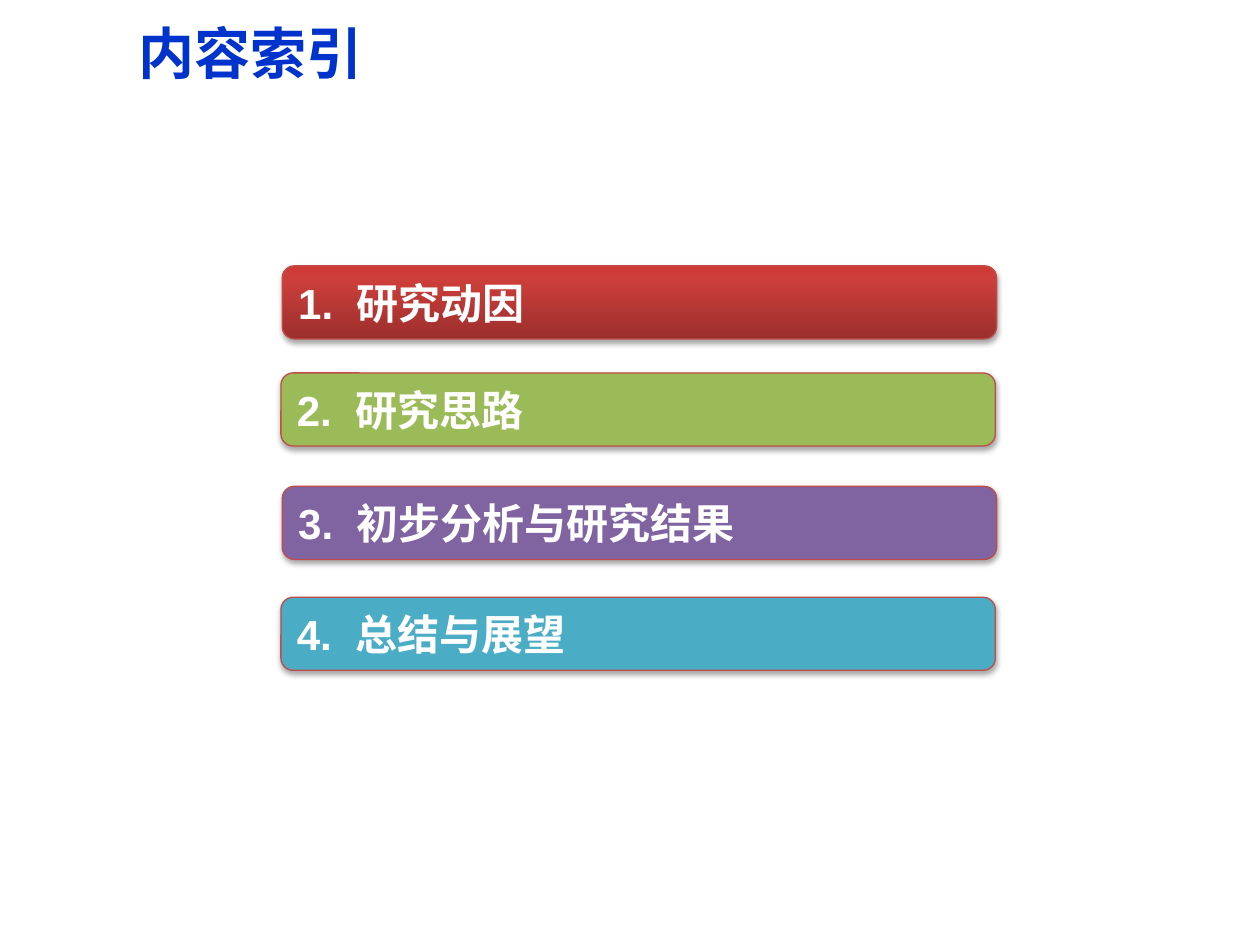
from copy import deepcopy

from lxml import etree
from pptx import Presentation
from pptx.dml.color import RGBColor
from pptx.enum.shapes import MSO_SHAPE
from pptx.enum.text import MSO_ANCHOR, PP_ALIGN
from pptx.oxml.ns import qn
from pptx.util import Pt

ROUNDED = MSO_SHAPE.ROUNDED_RECTANGLE
MIDDLE = MSO_ANCHOR.MIDDLE
LEFT = PP_ALIGN.LEFT

TITLE = "内容索引"
RED_GRADIENT = [(0, "9C2F2D"), (0.8, "CB3E3A"), (1, "CE3B37")]
SECTIONS = [
    ("研究动因", 161.28, 151.92, RED_GRADIENT),
    ("研究思路", 160.56, 213.12, "9BBB59"),
    ("初步分析与研究结果", 161.28, 277.92, "8064A2"),
    ("总结与展望", 160.56, 341.28, "4BACC6"),
]
BAR_WIDTH, BAR_HEIGHT = 408.24, 41.76
LABEL_INDENT = 33.36
CHINESE_FONT = "Noto Sans CJK SC"


def color(hex_value):
    return RGBColor.from_string(hex_value)


def write(text_frame, text, font_name, size, hex_value):
    text_frame.text = text
    text_frame.word_wrap = True
    text_frame.vertical_anchor = MIDDLE
    paragraph = text_frame.paragraphs[0]
    paragraph.alignment = LEFT
    for run in paragraph.runs:
        run.font.name = font_name
        run.font.size = Pt(size)
        run.font.bold = True
        run.font.color.rgb = color(hex_value)
        etree.SubElement(run.font._element, qn("a:ea"), typeface=CHINESE_FONT)
    return paragraph


def fill_gradient(shape, stops):
    shape.fill.gradient()
    shape.fill.gradient_angle = 90
    stop_list = shape._element.spPr.find(qn("a:gradFill")).find(qn("a:gsLst"))
    stop_list.append(deepcopy(stop_list[-1]))
    for stop, (position, hex_value) in zip(shape.fill.gradient_stops, stops):
        stop.position = position
        stop.color.rgb = color(hex_value)


def add_shadow(shape):
    shape.shadow.inherit = False
    effects = shape._element.spPr.find(qn("a:effectLst"))
    shadow = etree.SubElement(
        effects, qn("a:outerShdw"), blurRad=str(Pt(3.15)), dist=str(Pt(1.81)),
        dir="5400000", rotWithShape="0")
    shade = etree.SubElement(shadow, qn("a:srgbClr"), val="000000")
    etree.SubElement(shade, qn("a:alpha"), val="35000")


def add_bar(slide, number, label, left, top, fill):
    bar = slide.shapes.add_shape(
        ROUNDED, Pt(left), Pt(top), Pt(BAR_WIDTH), Pt(BAR_HEIGHT))
    bar.adjustments[0] = 0.167
    if isinstance(fill, str):
        bar.fill.solid()
        bar.fill.fore_color.rgb = color(fill)
    else:
        fill_gradient(bar, fill)
    bar.line.color.rgb = color("BF4C48")
    bar.line.width = Pt(0.75)
    add_shadow(bar)
    paragraph = write(bar.text_frame, f"{number}.\t{label}", "Arial", 24, "FFFFFF")
    tabs = etree.SubElement(paragraph._p.get_or_add_pPr(), qn("a:tabLst"))
    etree.SubElement(tabs, qn("a:tab"), pos=str(Pt(LABEL_INDENT)), algn="l")


def main():
    presentation = Presentation()
    presentation.slide_width, presentation.slide_height = Pt(720), Pt(540)
    slide = presentation.slides.add_slide(presentation.slide_layouts[6])
    title = slide.shapes.add_textbox(Pt(72), Pt(-1.44), Pt(648), Pt(62.64))
    write(title.text_frame, TITLE, CHINESE_FONT, 32, "0033CC")
    for number, section in enumerate(SECTIONS, 1):
        add_bar(slide, number, *section)
    presentation.save("out.pptx")


if __name__ == "__main__":
    main()
